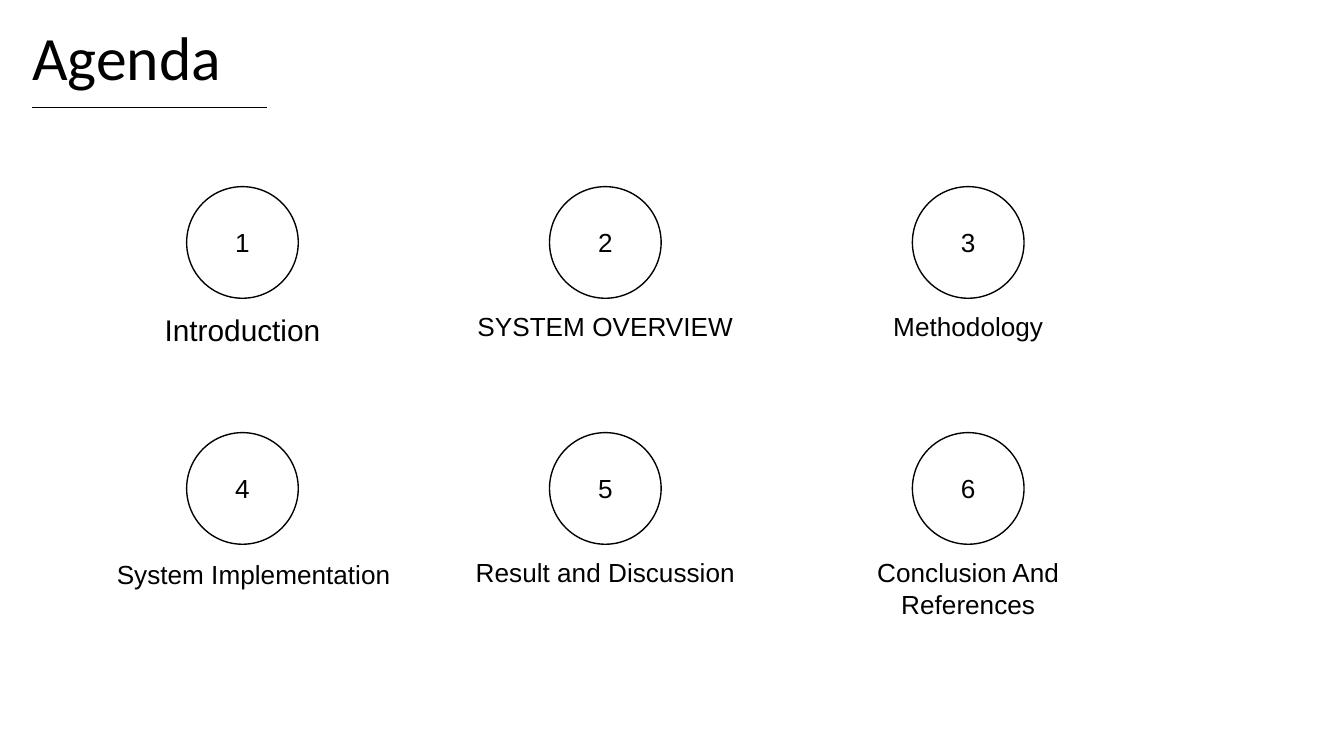
import pptx
import pptx.dml.color
import pptx.enum.shapes
import pptx.enum.text
import pptx.oxml
import pptx.util

Pt = pptx.util.Pt
ALIGN = pptx.enum.text.PP_ALIGN
ANCHOR = pptx.enum.text.MSO_ANCHOR
COLOURS = {"ink": "000000", "paper": "FFFFFF"}

CIRCLE = 59.8
CIRCLE_LEFT, CIRCLE_TOP = 100, 100
COLUMN_STEP, ROW_STEP = 194.4, 131.8
NUMBER_HEIGHT = 28.8
CAPTION_WIDTH, CAPTION_HEIGHT = 181.4, 50.4

# Caption, text size, shift right and down from the centred position
TOPICS = [
    ("Introduction", 16, 0, 0.7),
    ("SYSTEM OVERVIEW", 14, 0, 0),
    ("Methodology", 14, 0, 0),
    ("System Implementation", 14, 6, 0.7),
    ("Result and Discussion", 14, 0, 0),
    ("Conclusion And References", 14, 0, 0),
]


def colour(name):
    return pptx.dml.color.RGBColor.from_string(COLOURS[name])


class AgendaSlide:
    """Holds the style and the current slide."""

    frame_format = {
        "word_wrap": True,
        "auto_size": pptx.enum.text.MSO_AUTO_SIZE.NONE,
        "margin_left": Pt(7.2),
        "margin_top": Pt(7.2),
        "margin_right": Pt(7.2),
        "margin_bottom": Pt(7.2),
    }

    def __init__(self, deck):
        self.page = deck.slides.add_slide(deck.slide_layouts[5])
        self.page.background.fill.solid()
        self.page.background.fill.fore_color.rgb = colour("paper")

    def set_text(self, box, text, size, font="Arial", align=ALIGN.CENTER,
                 anchor=ANCHOR.TOP, spacing=None):
        frame = box.text_frame
        for name, value in {**self.frame_format, "vertical_anchor": anchor}.items():
            setattr(frame, name, value)
        para = frame.paragraphs[0]
        for name, value in {"alignment": align, "line_spacing": spacing}.items():
            setattr(para, name, value)
        span = para.add_run()
        span.text = text
        for name, value in {"name": font, "size": Pt(size)}.items():
            setattr(span.font, name, value)
        span.font.color.rgb = colour("ink")

    def outline(self, line):
        line.color.rgb = colour("ink")
        line.width = Pt(0.75)

    def title(self, text, left, top, width, height):
        box = self.page.shapes.title
        bounds = {"left": left, "top": top, "width": width, "height": height}
        for name, value in bounds.items():
            setattr(box, name, Pt(value))
        self.set_text(box, text, 33, "Calibri", ALIGN.LEFT, spacing=0.9)

    def rule(self, left, right, top):
        line = self.page.shapes.add_connector(
            pptx.enum.shapes.MSO_CONNECTOR.STRAIGHT,
            Pt(left), Pt(top), Pt(right), Pt(top))
        self.outline(line.line)
        line._element.spPr.append(pptx.oxml.parse_xml(
            '<a:effectLst xmlns:a="http://schemas.openxmlformats.org/drawingml/2006/main"/>'))

    def circle(self, left, top):
        ring = self.page.shapes.add_shape(
            pptx.enum.shapes.MSO_SHAPE.ROUNDED_RECTANGLE,
            Pt(left), Pt(top), Pt(CIRCLE), Pt(CIRCLE))
        ring.adjustments[0] = 0.5
        ring.shadow.inherit = False
        ring.fill.background()
        self.outline(ring.line)

    def label(self, text, size, left, top, width, height, anchor=ANCHOR.TOP):
        box = self.page.shapes.add_textbox(Pt(left), Pt(top), Pt(width), Pt(height))
        self.set_text(box, text, size, anchor=anchor)

    def topic(self, index, caption, size, shift_x, shift_y):
        """Places a numbered circle and its caption in the three-column grid."""
        row, column = divmod(index, 3)
        left = CIRCLE_LEFT + column * COLUMN_STEP
        top = CIRCLE_TOP + row * ROW_STEP
        self.circle(left, top)
        self.label(str(index + 1), 14, left, top + (CIRCLE - NUMBER_HEIGHT) / 2,
                   CIRCLE, NUMBER_HEIGHT, ANCHOR.MIDDLE)
        self.label(caption, size, left + (CIRCLE - CAPTION_WIDTH) / 2 + shift_x,
                   top + CIRCLE - 0.5 + shift_y, CAPTION_WIDTH, CAPTION_HEIGHT)


def main():
    deck = pptx.Presentation()
    deck.slide_width, deck.slide_height = Pt(720), Pt(405)
    agenda = AgendaSlide(deck)
    agenda.title("Agenda", 10, 7.2, 607, 45.4)
    agenda.rule(17.3, 143.3, 57.6)
    for index, topic in enumerate(TOPICS):
        agenda.topic(index, *topic)
    deck.save("out.pptx")


if __name__ == "__main__":
    main()
